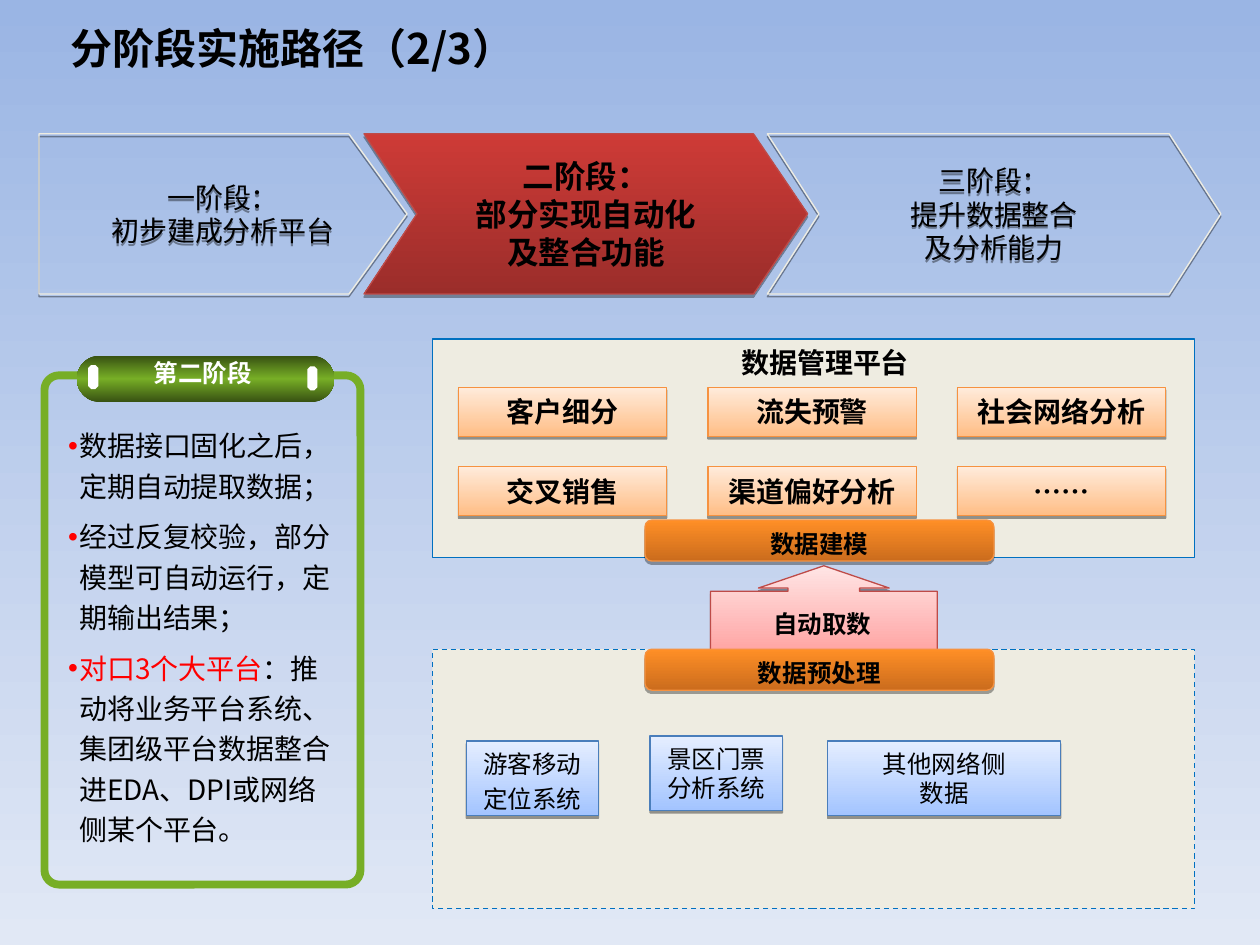
from copy import deepcopy

from lxml.etree import SubElement
from pptx import Presentation
from pptx.dml.color import RGBColor
from pptx.enum.dml import MSO_LINE
from pptx.enum.shapes import MSO_SHAPE as Preset
from pptx.enum.text import MSO_ANCHOR as Anchor, MSO_AUTO_SIZE as AutoSize, PP_ALIGN as Align
from pptx.oxml.ns import qn
from pptx.util import Pt

FONT = "Noto Sans CJK SC"
COLORS = {
    "black": "000000", "white": "FFFFFF", "red": "FF0000",
    "sky": "9AB5E4", "haze": "E1E8F5", "panel": "EEECE1", "panel_line": "0070C0",
    "brick": "CE3B37", "dark_brick": "9B2D2A", "brick_line": "BE4B48",
    "blush": "FFE5E5", "pink": "FFA2A1",
    "cream": "FFEBDB", "peach": "FFBE86", "orange_line": "F69240",
    "orange": "FF8F26", "rust": "CB6C1D",
    "ice": "E5EEFF", "blue": "A3C4FF", "blue_line": "4A7EBB",
    "green": "77AE26", "dark_green": "375112",
}


def rgb(name):
    return RGBColor.from_string(COLORS[name])


def paint_gradient(fill, top, bottom):
    fill.gradient()
    fill.gradient_angle = 270
    for stop, position, color in zip(fill.gradient_stops, (0, 1), (top, bottom)):
        stop.position = position
        stop.color.rgb = rgb(color)


def add_middle_stop(shape, color):
    """Turn a two-colour gradient into one mirrored about its middle."""
    stops = shape._element.spPr.find(f".//{qn('a:gsLst')}")
    stops.insert(1, deepcopy(stops[0]))
    middle = shape.fill.gradient_stops[1]
    middle.position = 0.5
    middle.color.rgb = rgb(color)


def drop_shadow(shape, distance=1.6, opacity=38):
    effects = shape._element.spPr.find(qn("a:effectLst"))
    outer = SubElement(effects, qn("a:outerShdw"), blurRad="0", dist=str(Pt(distance)),
                       dir="5400000", rotWithShape="0")
    black = SubElement(outer, qn("a:srgbClr"), val=COLORS["black"])
    SubElement(black, qn("a:alpha"), val=str(opacity * 1000))


def style(shape, fill=None, line=None, width=0.75):
    """Fill with one colour name, a (top, bottom) pair, or nothing."""
    shape.shadow.inherit = False
    if fill is None:
        shape.fill.background()
    elif isinstance(fill, tuple):
        paint_gradient(shape.fill, *fill)
    else:
        shape.fill.solid()
        shape.fill.fore_color.rgb = rgb(fill)
    if line:
        shape.line.color.rgb = rgb(line)
        shape.line.width = Pt(width)
    else:
        shape.line.fill.background()


def set_font(paragraph, size, bold=False, color="black"):
    font = paragraph.font
    font.size, font.bold, font.name = Pt(size), bold, FONT
    font.color.rgb = rgb(color)
    latin = font._element.find(qn("a:latin"))
    east_asian = deepcopy(latin)
    east_asian.tag = qn("a:ea")
    latin.addnext(east_asian)


def write(shape, text, size, bold=False, color="black", spacing=None,
          align=Align.CENTER, anchor=Anchor.MIDDLE, wrap=True):
    frame = shape.text_frame
    frame.text = text
    frame.word_wrap = wrap
    frame.vertical_anchor = anchor
    for paragraph in frame.paragraphs:
        paragraph.alignment = align
        if spacing:
            paragraph.line_spacing = spacing
        set_font(paragraph, size, bold, color)


def place(shape, *box):
    shape.left, shape.top, shape.width, shape.height = map(Pt, box)


def add_preset(slide, preset, box, fill=None, line=None, width=0.75, adjust=()):
    shape = slide.shapes.add_shape(preset, *map(Pt, box))
    for index, value in enumerate(adjust):
        shape.adjustments[index] = value
    style(shape, fill, line, width)
    return shape


def add_label(slide, box, text, size, **options):
    label = slide.shapes.add_textbox(*map(Pt, box))
    write(label, text, size, bold=True, anchor=Anchor.TOP, **options)


def add_phase(slide, left, shoulder, tip, notch, text, current=False):
    """Draw one arrow of the phase band; notch is the x of its inner point."""
    top, middle, bottom = 76.5, 122.2, 168
    points = [(shoulder, top), (tip, middle), (shoulder, bottom), (left, bottom)]
    if notch:
        points.append((notch, middle))
    builder = slide.shapes.build_freeform(Pt(left), Pt(top))
    builder.add_line_segments([(Pt(x), Pt(y)) for x, y in points])
    arrow = builder.convert_to_shape()
    if current:
        style(arrow, ("brick", "dark_brick"), "brick_line")
        drop_shadow(arrow, 1.8, 35)
    else:
        style(arrow, line="panel")
        drop_shadow(arrow)
    write(arrow, text, 18 if current else 16, bold=current)


def add_model(slide, left, top, text):
    box = add_preset(slide, Preset.RECTANGLE, (left, top, 119, 28),
                     ("cream", "peach"), "orange_line")
    drop_shadow(box)
    write(box, text, 16, bold=True, wrap=False)


def add_source(slide, left, top, width, text, spacing=None):
    box = add_preset(slide, Preset.RECTANGLE, (left, top, width, 42.5),
                     ("ice", "blue"), "blue_line")
    drop_shadow(box)
    write(box, text, 14, spacing=spacing)


def add_step_bar(slide, top, text):
    bar = add_preset(slide, Preset.ROUNDED_RECTANGLE, (368.6, top, 199.4, 23.4),
                     ("orange", "rust"), "orange_line")
    drop_shadow(bar, 1.8, 35)
    write(bar, text, 14, bold=True, spacing=1.2)


def fill_bullets(body, items):
    """Write each item, given as (highlighted start, rest), as a bullet."""
    frame = body.text_frame
    frame.auto_size = AutoSize.NONE
    frame.vertical_anchor = Anchor.TOP
    for index, (highlight, rest) in enumerate(items):
        paragraph = frame.paragraphs[0] if index == 0 else frame.add_paragraph()
        properties = paragraph._p.get_or_add_pPr()
        properties.set("marL", str(Pt(6.5)))
        properties.set("indent", str(-Pt(6.5)))
        bullet_color = SubElement(properties, qn("a:buClr"))
        SubElement(bullet_color, qn("a:srgbClr"), val=COLORS["red"])
        SubElement(properties, qn("a:buChar"), char="•")
        paragraph.line_spacing = 1.2
        paragraph.space_before, paragraph.space_after = Pt(0), Pt(6)
        set_font(paragraph, 16)
        if highlight:
            start = paragraph.add_run()
            start.text = highlight
            start.font.color.rgb = rgb("red")
        paragraph.add_run().text = rest


def add_phase_card(slide):
    add_preset(slide, Preset.ROUNDED_RECTANGLE, (25.4, 214.5, 180.6, 291),
               line="green", width=4.5, adjust=[0.046])
    cap = add_preset(slide, Preset.ROUNDED_RECTANGLE, (44, 203.2, 147, 26.6),
                     ("dark_green", "dark_green"), adjust=[0.5])
    add_middle_stop(cap, "green")
    for left, top in ((175.6, 209.3), (50.4, 208.6)):
        add_preset(slide, Preset.OCTAGON, (left, top, 5.8, 13.7), "white")
    add_label(slide, (80.6, 201, 70.6, 24.5), "第二阶段", 14, color="white", wrap=False)


def main():
    prs = Presentation()
    prs.slide_width, prs.slide_height = Pt(720), Pt(540)
    slide = prs.slides.add_slide(prs.slide_layouts[1])
    paint_gradient(slide.background.fill, "sky", "haze")

    title, body = slide.placeholders
    place(title, 33, 7, 654.5, 41)
    write(title, "分阶段实施路径（2/3）", 24, bold=True, align=Align.LEFT)
    place(body, 31.7, 237.6, 167.8, 249.8)
    fill_bullets(body, [
        ("", "数据接口固化之后，定期自动提取数据；"),
        ("", "经过反复校验，部分模型可自动运行，定期输出结果；"),
        ("对口3个大平台", "：推动将业务平台系统、集团级平台数据整合进EDA、DPI或网络侧某个平台。"),
    ])

    add_phase(slide, 22.3, 199.4, 232.6, None, "一阶段：\n初步建成分析平台")
    add_phase(slide, 208, 430.6, 461.5, 238.3, "二阶段：\n部分实现自动化\n及整合功能", current=True)
    add_phase(slide, 438.5, 668.2, 697.7, 468, "三阶段：\n提升数据整合\n及分析能力")

    fetch_arrow = add_preset(slide, Preset.UP_ARROW_CALLOUT, (406, 323.3, 129.6, 51),
                             ("blush", "pink"), "brick_line",
                             adjust=[0.802, 0.733, 0.25, 0.714])
    drop_shadow(fetch_arrow)
    add_label(slide, (400.3, 346.3, 139, 17.3), "自动取数", 14, spacing=0.9)

    sources = add_preset(slide, Preset.RECTANGLE, (247, 371, 435.6, 148.3),
                         "panel", "panel_line")
    sources.line.dash_style = MSO_LINE.DASH
    add_source(slide, 266.4, 423.4, 75.6, "游客移动定位系统", spacing=1.2)
    add_source(slide, 371.5, 420.5, 75.6, "景区门票分析系统")
    add_source(slide, 473, 423.4, 133.2, "其他网络侧\n数据")

    add_preset(slide, Preset.RECTANGLE, (247, 193.7, 435.6, 125), "panel", "panel_line")
    models = (("客户细分", "流失预警", "社会网络分析"),
              ("交叉销售", "渠道偏好分析", "……"))
    for row, names in enumerate(models):
        for column, name in enumerate(names):
            add_model(slide, 262 + 142.6 * column, 221.3 + 45.2 * row, name)
    add_step_bar(slide, 371, "数据预处理")
    add_step_bar(slide, 297.2, "数据建模")
    add_label(slide, (384.5, 193.7, 174.2, 26.6), "数据管理平台", 16)

    add_phase_card(slide)
    prs.save("out.pptx")


if __name__ == "__main__":
    main()
